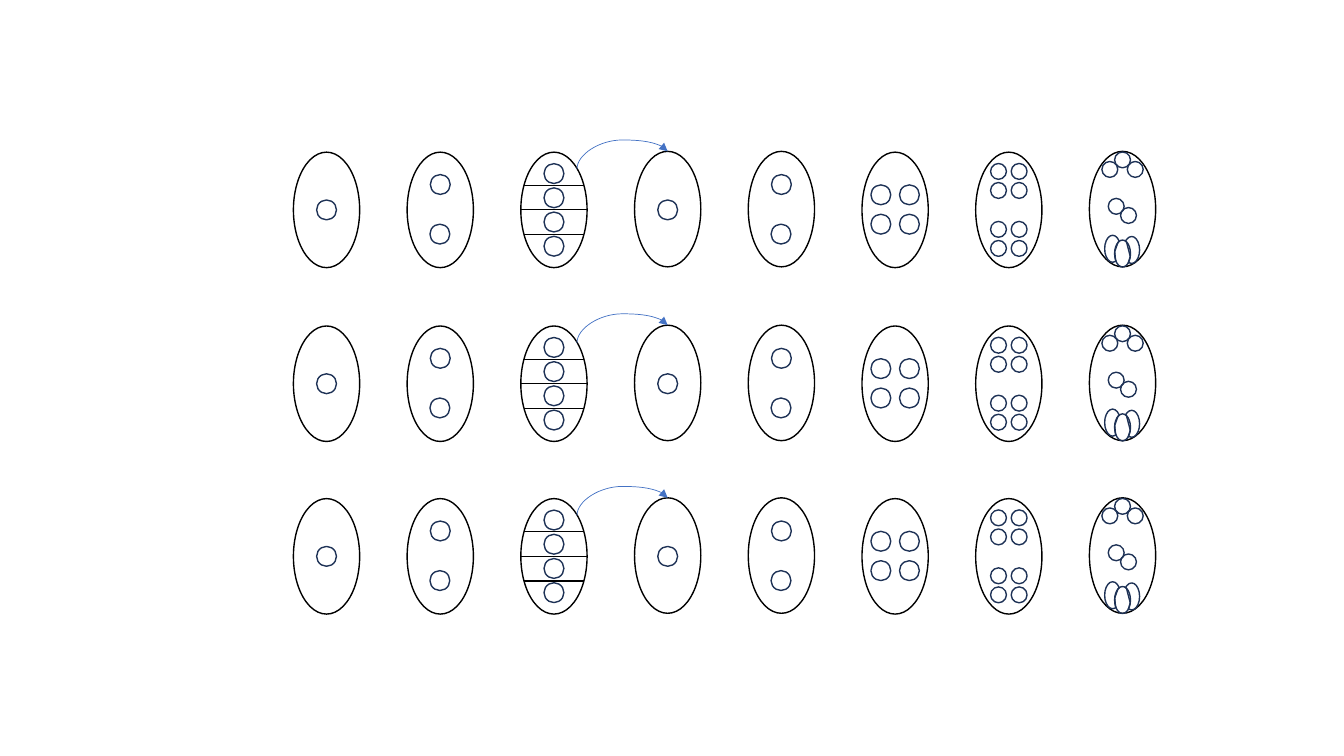
from math import cos, hypot, sin, sqrt, tau

from lxml import etree
from pptx import Presentation
from pptx.dml.color import RGBColor
from pptx.enum.shapes import MSO_CONNECTOR, MSO_SHAPE
from pptx.oxml.ns import qn
from pptx.util import Cm, Pt

OVAL = MSO_SHAPE.OVAL
STRAIGHT = MSO_CONNECTOR.STRAIGHT
CURVE = MSO_CONNECTOR.CURVE

COLORS = {"egg": "000000", "cell": "1E3256", "arrow": "4472C4"}

FIRST_X, LAST_X = 8.23, 28.29
ROW_YS = (5.29, 9.67, 14.02)
EGG_W, EGG_H = 1.67, 2.91
NUCLEUS, SMALL = 0.5, 0.4
PETAL_W, PETAL_H = 0.4, 0.68
PETAL_POINTS = 20
WALL_GAP = 0.62
LIFT = 0.02

ONE = [(0, 0)]
TWO = [(0, -0.64), (-0.01, 0.61)]
STACK = [(0, 0.61 * (k - 1.5)) for k in range(4)]
SQUARE = [(x, y) for y in (-0.38, 0.36) for x in (0.36, -0.36)]
EIGHT = [(x, y) for y in (-0.97, -0.49, 0.49, 0.97) for x in (0.26, -0.26)]
SAC = [(0, -1.26), (0.32, -1.02), (-0.32, -1.02), (-0.16, -0.09), (0.15, 0.14)]
STAGES = [(ONE, NUCLEUS, 0), (TWO, NUCLEUS, 0), (STACK, NUCLEUS, 0), (ONE, NUCLEUS, LIFT),
          (TWO, NUCLEUS, LIFT), (SQUARE, NUCLEUS, 0), (EIGHT, SMALL, 0), (SAC, SMALL, LIFT)]
WALLED, SPORE, MATURE = 2, 3, 7
FRONT_PETAL = (0, 1.1)
BACK_PETALS = [(-0.25, 0.98), (0.23, 1.01)]


def outline(sp, color, width):
    """Give a shape or connector a plain line."""
    sp.line.color.rgb = RGBColor.from_string(COLORS[color])
    sp.line.width = Pt(width)


def add_oval(shapes, cx, cy, w, h, color):
    """Draw an unfilled oval around a centre point."""
    s = shapes.add_shape(OVAL, Cm(cx - w / 2), Cm(cy - h / 2), Cm(w), Cm(h))
    s.shadow.inherit = False
    s.fill.background()
    outline(s, color, 1)


def add_line(shapes, kind, start, end, color, width):
    """Draw a connector without a shadow and return it."""
    s = shapes.add_connector(kind, *(Cm(v) for v in (*start, *end)))
    outline(s, color, width)
    etree.SubElement(s.element.spPr, qn("a:effectLst"))
    return s


def add_walls(shapes, cx, cy):
    """Draw three cross walls that reach the egg outline."""
    for dy in (-WALL_GAP, 0, WALL_GAP):
        half = EGG_W / 2 * sqrt(1 - (2 * dy / EGG_H) ** 2)
        add_line(shapes, STRAIGHT, (cx - half, cy + dy), (cx + half, cy + dy), "egg", 0.75)


def add_arrow(shapes, start, end):
    """Draw an arched arrow that rises from start and drops onto end."""
    mid_x, mid_y = (start[0] + end[0]) / 2, (start[1] + end[1]) / 2
    half_w, half_h = (start[1] - end[1]) / 2, (end[0] - start[0]) / 2
    s = add_line(shapes, CURVE, (mid_x + half_w, mid_y + half_h),
                 (mid_x - half_w, mid_y - half_h), "arrow", 0.5)
    spPr = s.element.spPr
    spPr.find(qn("a:xfrm")).set("rot", "5400000")
    geom = spPr.find(qn("a:prstGeom"))
    guides = geom.find(qn("a:avLst"))
    if guides is None:
        guides = etree.SubElement(geom, qn("a:avLst"))
    etree.SubElement(guides, qn("a:gd"), name="adj1", fmla="val 164500")
    etree.SubElement(spPr.find(qn("a:ln")), qn("a:tailEnd"), type="triangle")


def add_back_petal(shapes, cx, cy, dx, dy):
    """Draw a petal whose edge follows the front petal where they overlap."""
    fx, fy = FRONT_PETAL
    points = []
    for k in range(PETAL_POINTS):
        x = dx + PETAL_W / 2 * cos(tau * k / PETAL_POINTS)
        y = dy + PETAL_H / 2 * sin(tau * k / PETAL_POINTS)
        depth = min(1, hypot(2 * (x - fx) / PETAL_W, 2 * (y - fy) / PETAL_H))
        points.append((Cm(cx + fx + (x - fx) / depth), Cm(cy + fy + (y - fy) / depth)))
    builder = shapes.build_freeform(*points[0])
    builder.add_line_segments(points[1:], close=True)
    s = builder.convert_to_shape()
    s.shadow.inherit = False
    s.fill.background()
    outline(s, "cell", 1)


def add_row(slide, cy):
    """Draw one row of division stages as a group."""
    shapes = slide.shapes.add_group_shape().shapes
    pitch = (LAST_X - FIRST_X) / (len(STAGES) - 1)
    centers = [FIRST_X + pitch * i for i in range(len(STAGES))]
    for cx, (cells, size, lift) in zip(centers, STAGES):
        add_oval(shapes, cx, cy - lift, EGG_W, EGG_H, "egg")
        for dx, dy in cells:
            add_oval(shapes, cx + dx, cy + dy, size, size, "cell")
    add_walls(shapes, centers[WALLED], cy)
    add_arrow(shapes, (centers[WALLED] + 0.58, cy - 1.03),
              (centers[SPORE], cy - LIFT - EGG_H / 2))
    for dx, dy in BACK_PETALS:
        add_back_petal(shapes, centers[MATURE], cy, dx, dy)
    dx, dy = FRONT_PETAL
    add_oval(shapes, centers[MATURE] + dx, cy + dy, PETAL_W, PETAL_H, "cell")


def main():
    """Build the slide and save it."""
    prs = Presentation()
    prs.slide_width, prs.slide_height = Cm(33.87), Cm(19.05)
    slide = prs.slides.add_slide(prs.slide_layouts[6])
    for cy in ROW_YS:
        add_row(slide, cy)
    prs.save("out.pptx")


if __name__ == "__main__":
    main()
